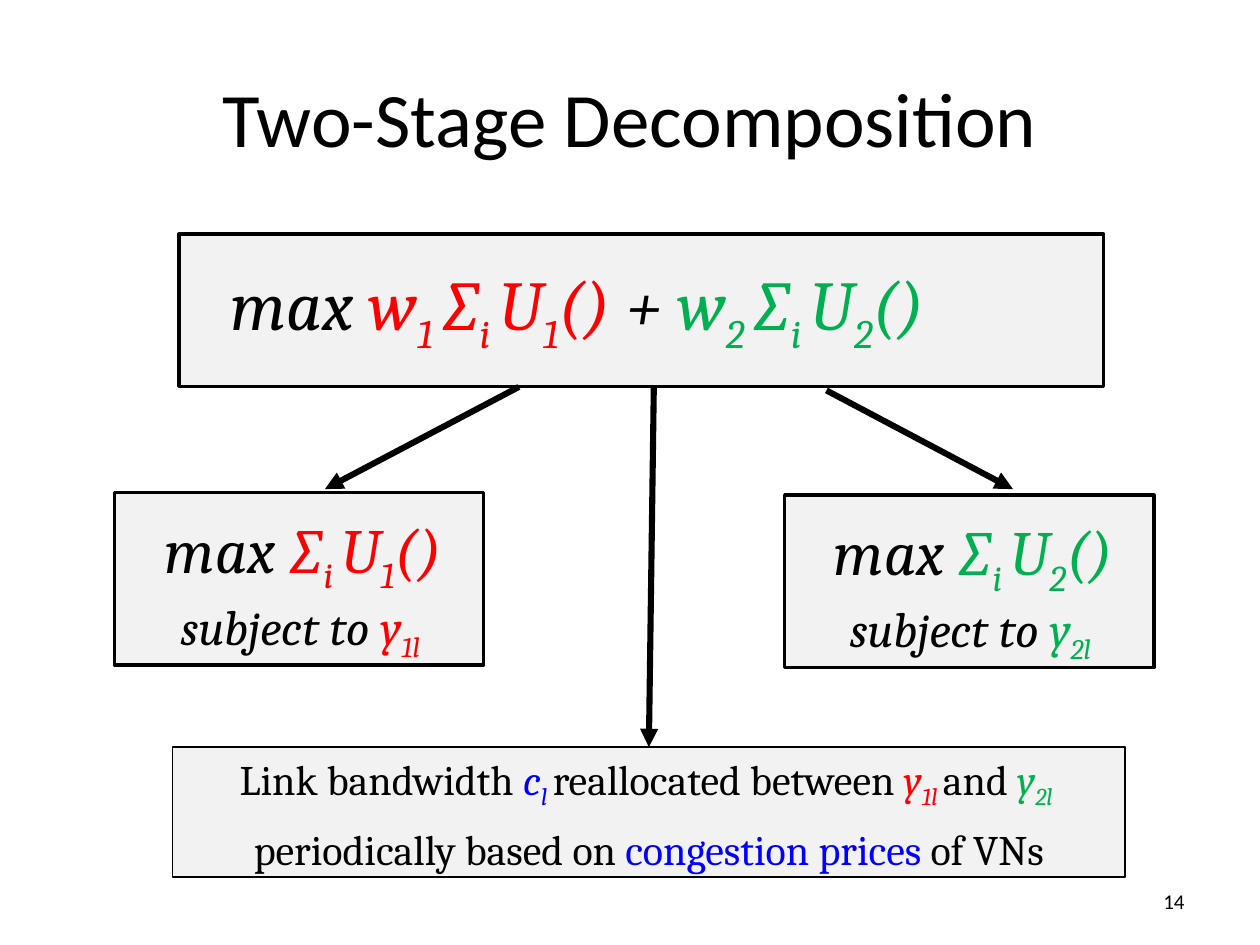
from dataclasses import dataclass

from lxml.etree import SubElement
from pptx import Presentation
from pptx.dml.color import RGBColor
from pptx.enum.shapes import MSO_CONNECTOR, MSO_SHAPE
from pptx.enum.text import MSO_ANCHOR, PP_ALIGN
from pptx.oxml.ns import qn
from pptx.util import Cm, Pt


@dataclass(frozen=True)
class Theme:
    black: str = "000000"
    red: str = "FF0000"
    green: str = "00B050"
    blue: str = "0000FF"
    panel: str = "F2F2F2"
    sans: str = "Calibri"
    serif: str = "Cambria"
    title: int = 44
    objective: int = 40
    subproblem: int = 36
    constraint: int = 28
    note: int = 24
    number: int = 12


T = Theme()


def part(text, color=T.black, sub=False, italic=True):
    return text, color, sub, italic


def utility(color, n):
    """Parts of the summed utility of virtual network n."""
    return [part("∑", color), part("i ", color, True), part("U", color),
            part(str(n), color, True), part("()", color)]


def share(color, name, index):
    return [part(name, color), part(index + " ", color, True)]


def write(p, parts, size, font=T.serif, align=PP_ALIGN.CENTER, indent=0):
    p.alignment = align
    if indent:
        pPr = p._p.get_or_add_pPr()
        pPr.set("marL", str(Cm(indent)))
        pPr.set("indent", "0")
    for text, color, sub, italic in parts:
        r = p.add_run()
        r.text = text
        r.font.name, r.font.size, r.font.italic = font, Pt(size), italic
        r.font.color.rgb = RGBColor.from_string(color)
        if sub:
            r.font._element.set("baseline", "-25000")


def add_text(slide, box, anchor=MSO_ANCHOR.TOP):
    tf = slide.shapes.add_textbox(*map(Cm, box)).text_frame
    tf.word_wrap = True
    tf.vertical_anchor = anchor
    return tf


def add_panel(slide, box, line_width):
    sp = slide.shapes.add_shape(MSO_SHAPE.RECTANGLE, *map(Cm, box))
    sp.shadow.inherit = False
    sp.fill.solid()
    sp.fill.fore_color.rgb = RGBColor.from_string(T.panel)
    sp.line.color.rgb = RGBColor.from_string(T.black)
    sp.line.width = Pt(line_width)
    return sp


def add_arrow(slide, start, end):
    c = slide.shapes.add_connector(MSO_CONNECTOR.STRAIGHT, *map(Cm, start + end))
    c.line.color.rgb = RGBColor.from_string(T.black)
    c.line.width = Pt(3.5)
    SubElement(c.line._get_or_add_ln(), qn("a:tailEnd"), type="triangle")
    SubElement(c._element.spPr, qn("a:effectLst"))
    return c


def add_label(slide, box, text, size, align):
    tf = add_text(slide, box, MSO_ANCHOR.MIDDLE)
    write(tf.paragraphs[0], [part(text, italic=False)], size, T.sans, align)


def add_objective(slide, box):
    left, top, width, height = box
    add_panel(slide, box, 2)
    tf = add_text(slide, (left - 0.49, top + 0.41, width + 0.49, height - 0.33))
    parts = [part("max "), part("w", T.red), part("1 ", T.red, True),
             *utility(T.red, 1), part(" + "),
             part("w", T.green), part("2 ", T.green, True), *utility(T.green, 2)]
    write(tf.paragraphs[0], parts, T.objective, align=PP_ALIGN.LEFT, indent=1.27)


def add_subproblem(slide, box, color, n):
    left, top, width, height = box
    add_panel(slide, box, 2)
    tf = add_text(slide, (left - 1, top + 0.23, width + 0.9, height + 0.28))
    write(tf.paragraphs[0], [part("max "), *utility(color, n)], T.subproblem, indent=1.27)
    write(tf.add_paragraph(), [part("subject to "), *share(color, "y", f"{n}l")],
          T.constraint, indent=1.27)


def add_reallocation(slide, box):
    sp = add_panel(slide, box, 0.75)
    tf = sp.text_frame
    tf.word_wrap = True
    tf.vertical_anchor = MSO_ANCHOR.TOP
    write(tf.paragraphs[0],
          [part("Link bandwidth ", italic=False), *share(T.blue, "c", "l"),
           part("reallocated between ", italic=False), *share(T.red, "y", "1l"),
           part("and ", italic=False), *share(T.green, "y", "2l")], T.note)
    p = tf.add_paragraph()
    p.space_before = Pt(7.2)
    write(p, [part("periodically based on ", italic=False),
              part("congestion prices ", T.blue, italic=False),
              part("of VNs", italic=False)], T.note)
    return sp


def main():
    prs = Presentation()
    prs.slide_width, prs.slide_height = Cm(25.4), Cm(19.05)
    slide = prs.slides.add_slide(prs.slide_layouts[6])

    add_label(slide, (1.27, 0.76, 22.86, 3.18), "Two-Stage Decomposition",
              T.title, PP_ALIGN.CENTER)
    add_objective(slide, (3.61, 4.72, 18.64, 3.07))
    add_subproblem(slide, (2.31, 9.93, 7.44, 3.48), T.red, 1)
    add_subproblem(slide, (15.82, 9.98, 7.44, 3.48), T.green, 2)
    note = add_reallocation(slide, (3.48, 15.06, 19.2, 2.62))

    add_arrow(slide, (10.46, 7.8), (6.55, 9.86))
    add_arrow(slide, (16.66, 7.87), (20.42, 9.86))
    add_arrow(slide, (13.18, 7.8), (13.08, 15.06)).end_connect(note, 0)
    add_label(slide, (18.21, 17.65, 5.92, 1.02), "14", T.number, PP_ALIGN.RIGHT)

    prs.save("out.pptx")


if __name__ == "__main__":
    main()
